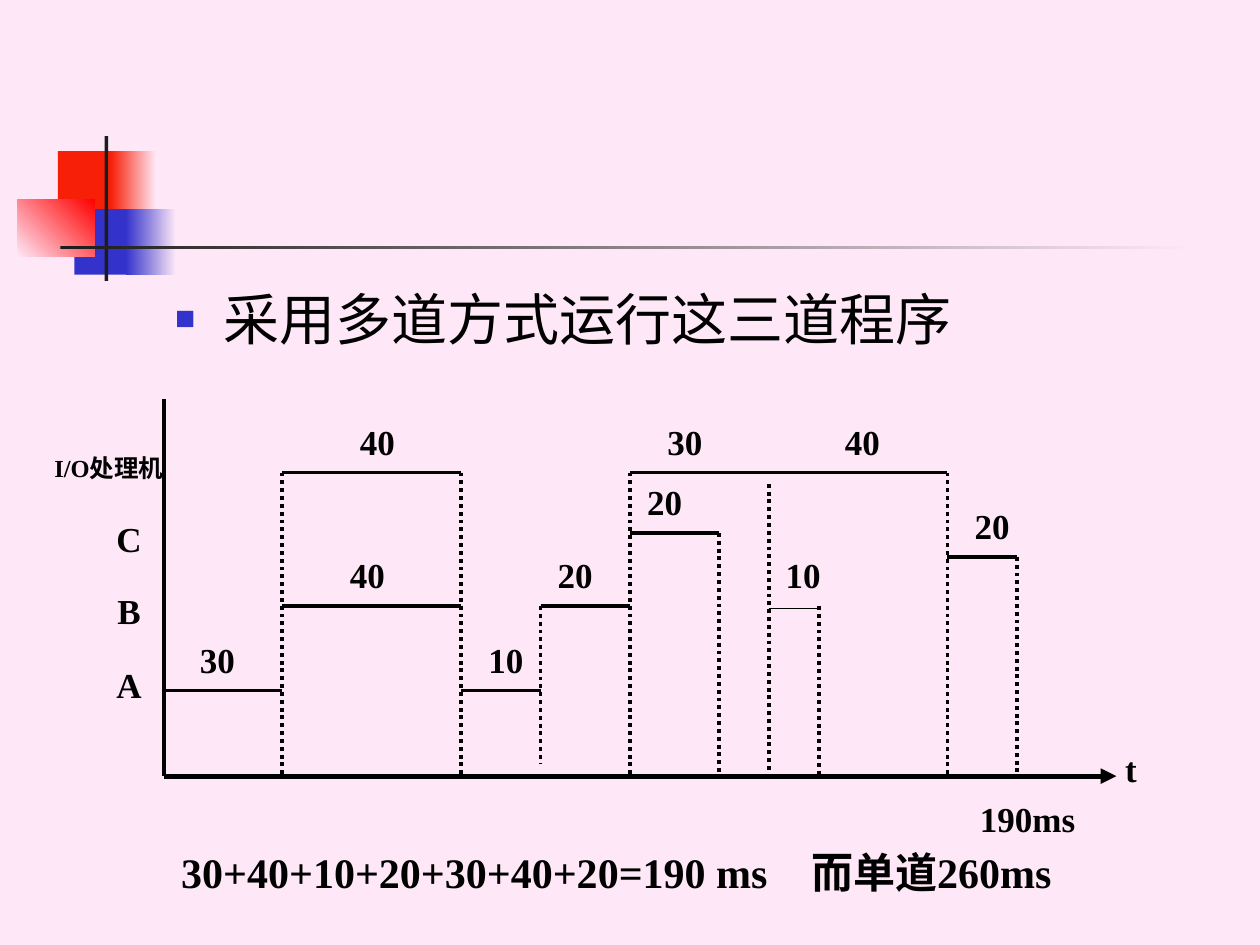
"""Build a slide with the timing chart of three programs run by multiprogramming."""
from dataclasses import dataclass

from lxml import etree
from pptx import Presentation
from pptx import util as u
from pptx.dml.color import RGBColor
from pptx.enum import dml, shapes, text
from pptx.oxml.ns import qn


@dataclass(frozen=True)
class Theme:
    background: str = "FEE8F7"
    ink: str = "000000"
    rule: str = "1C1C1C"
    scarlet: str = "F81F08"
    red: str = "FF0000"
    blue: str = "3333CC"
    heading_font: str = "Roboto"
    label_font: str = "Times New Roman"
    heading: int = 32
    total: int = 24
    label: int = 20
    small: int = 14


THEME = Theme()
HEADING = "采用多道方式运行这三道程序"
TOTAL = "30+40+10+20+30+40+20=190 ms\t而单道260ms"

COLUMNS = {0: 1.3, 30: 2.24, 70: 3.66, 80: 4.29, 100: 5, 120: 5.71,
           130: 6.1, 140: 6.5, 170: 7.52, 190: 8.07}
ROWS = {"I/O": 3.75, "C early": 4.23, "C late": 4.42, "B": 4.81, "A": 5.48}
AXIS_TOP, AXIS_BOTTOM, AXIS_END = 3.17, 6.16, 8.86
LABEL_SIZE = (0.39, 0.4)
LABEL_RISE = 0.48

BARS = [
    (0, 30, "A", "30", 1.53), (30, 70, "B", "40", 2.72),
    (30, 70, "I/O", "40", 2.8), (70, 80, "A", "10", 3.82),
    (80, 100, "B", "20", 4.37), (100, 130, "I/O", "30", 5.24),
    (130, 170, "I/O", "40", 6.65), (100, 120, "C early", "20", 5.08),
    (130, 140, "B", "10", 6.18), (170, 190, "C late", "20", 7.68),
]
THIN_BAR = (130, 140)
DROPS = [
    (30, "I/O", 0, 0), (70, "I/O", 0, 0), (80, "B", 0, 0.1),
    (100, "I/O", 0, 0), (120, "C early", 0, 0), (130, "I/O", 0.09, 0),
    (140, "B", 0, 0), (170, "I/O", 0, 0), (190, "C late", 0, 0),
]
AXIS_LABELS = [
    ("A", 0.83, 5.2, *LABEL_SIZE), ("B", 0.83, 4.61, *LABEL_SIZE),
    ("C", 0.83, 4.04, *LABEL_SIZE), ("t", 8.78, 5.87, *LABEL_SIZE),
    ("190ms", 7.68, 6.26, 0.95, 0.4),
]
ORNAMENTS = [
    ((0.46, 1.2, 0.48, 0.52), [THEME.scarlet], 0),
    ((0.88, 1.2, 0.36, 0.52), [THEME.scarlet, THEME.background], 0),
    ((0.59, 1.66, 0.46, 0.52), [THEME.blue], 0),
    ((1, 1.66, 0.4, 0.52), [THEME.blue, THEME.background], 0),
    ((0.14, 1.58, 0.61, 0.46), [THEME.background, THEME.red], 45),
    ((0.83, 1.08, 0.03, 1.15), [THEME.rule], 0),
    ((0.48, 1.95, 9, 0.03), [THEME.rule, THEME.background], 0),
]


def color(value):
    """Return the colour object of a hex value."""
    return RGBColor.from_string(value)


def inches(values):
    """Convert numbers to slide lengths."""
    return [u.Inches(value) for value in values]


def write(shape, content, size=THEME.label, font=THEME.label_font, bold=True,
          align=text.PP_ALIGN.CENTER, hanging=0.38, spacing=1.2,
          inset=(0, 0), bullet=None, tab=None):
    """Fill a shape with one formatted paragraph."""
    frame = shape.text_frame
    frame.word_wrap = True
    frame.auto_size = text.MSO_AUTO_SIZE.NONE
    frame.vertical_anchor = text.MSO_ANCHOR.TOP
    frame.margin_left = frame.margin_right = u.Inches(inset[0])
    frame.margin_top = frame.margin_bottom = u.Inches(inset[1])
    paragraph = frame.paragraphs[0]
    paragraph.alignment = align
    paragraph.line_spacing = spacing
    paragraph.space_before = u.Pt(0)
    properties = paragraph._p.get_or_add_pPr()
    properties.set("marL", str(u.Inches(hanging)))
    properties.set("indent", str(-u.Inches(hanging)))
    if bullet:
        paint = etree.SubElement(properties, qn("a:buClr"))
        etree.SubElement(paint, qn("a:srgbClr"), val=THEME.blue)
        etree.SubElement(properties, qn("a:buSzPct"), val="60000")
        etree.SubElement(properties, qn("a:buChar"), char=bullet)
    if tab:
        stops = etree.SubElement(properties, qn("a:tabLst"))
        etree.SubElement(stops, qn("a:tab"), pos=str(u.Inches(tab)), algn="l")
    run = paragraph.add_run()
    run.text = content
    run.font.name, run.font.size, run.font.bold = font, u.Pt(size), bold
    run.font.color.rgb = color(THEME.ink)


def add_label(slide, content, *box, **formatting):
    """Add a text box at the given place."""
    write(slide.shapes.add_textbox(*inches(box)), content, **formatting)


def add_line(slide, *ends, width=2.25, dotted=False, arrow=False):
    """Add a straight line between two points."""
    line = slide.shapes.add_connector(shapes.MSO_CONNECTOR.STRAIGHT, *inches(ends))
    line.line.color.rgb = color(THEME.ink)
    line.line.width = u.Pt(width)
    if dotted:
        line.line.dash_style = dml.MSO_LINE.ROUND_DOT
    if arrow:
        etree.SubElement(line.line._get_or_add_ln(), qn("a:tailEnd"), type="triangle")
    etree.SubElement(line._element.spPr, qn("a:effectLst"))


def add_ornament(slide, box, colors, angle):
    """Add a plain or graded rectangle."""
    shape = slide.shapes.add_shape(shapes.MSO_SHAPE.RECTANGLE, *inches(box))
    shape.shadow.inherit = False
    shape.line.fill.background()
    if len(colors) == 1:
        shape.fill.solid()
        shape.fill.fore_color.rgb = color(colors[0])
        return
    shape.fill.gradient()
    shape.fill.gradient_angle = angle
    for stop, value in zip(shape.fill.gradient_stops, colors):
        stop.color.rgb = color(value)


def add_chart_lines(slide):
    """Draw the axes, the bars with their durations, and the dotted drops."""
    origin = COLUMNS[0]
    add_line(slide, origin, AXIS_TOP, origin, AXIS_BOTTOM, width=2)
    add_line(slide, origin, AXIS_BOTTOM, AXIS_END, AXIS_BOTTOM, width=3, arrow=True)
    for time, row, top_gap, bottom_gap in DROPS:
        add_line(slide, COLUMNS[time], ROWS[row] + top_gap,
                 COLUMNS[time], AXIS_BOTTOM - bottom_gap, dotted=True)
    for start, end, row, duration, left in BARS:
        thin = (start, end) == THIN_BAR
        level = ROWS[row] + (0.02 if thin else 0)
        add_line(slide, COLUMNS[start], level, COLUMNS[end], level,
                 width=0.5 if thin else 2.25)
        add_label(slide, duration, left, ROWS[row] - LABEL_RISE, *LABEL_SIZE)


def main():
    """Build and save the slide."""
    presentation = Presentation()
    presentation.slide_width, presentation.slide_height = inches((10, 7.5))
    slide = presentation.slides.add_slide(presentation.slide_layouts[1])
    slide.background.fill.solid()
    slide.background.fill.fore_color.rgb = color(THEME.background)
    title, body = slide.placeholders
    title._element.getparent().remove(title._element)
    body.left, body.top, body.width, body.height = inches((1.29, 2.21, 8.5, 4.5))
    write(body, HEADING, size=THEME.heading, font=THEME.heading_font, bold=False,
          align=text.PP_ALIGN.LEFT, spacing=1.0, inset=(0.1, 0.05), bullet="■")
    for ornament in ORNAMENTS:
        add_ornament(slide, *ornament)
    add_chart_lines(slide)
    for label in AXIS_LABELS:
        add_label(slide, *label)
    add_label(slide, "I/O处理机", 0.43, 3.55, 0.87, 0.56, size=THEME.small)
    add_label(slide, TOTAL, 1.34, 6.67, 8, 0.5, size=THEME.total, hanging=0,
              align=text.PP_ALIGN.LEFT, spacing=1.0, inset=(0.1, 0.05), tab=5.15)
    presentation.save("out.pptx")


if __name__ == "__main__":
    main()
